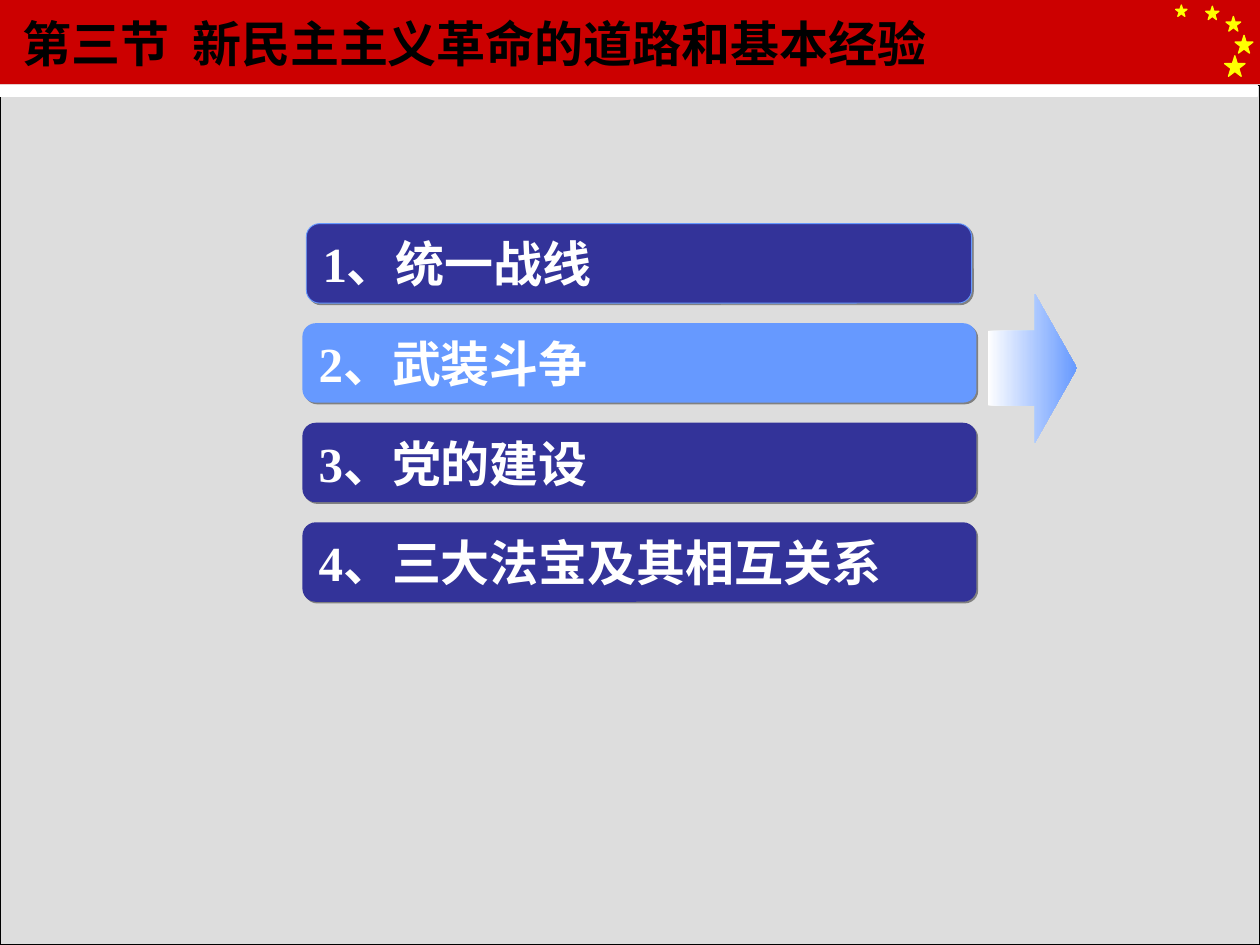
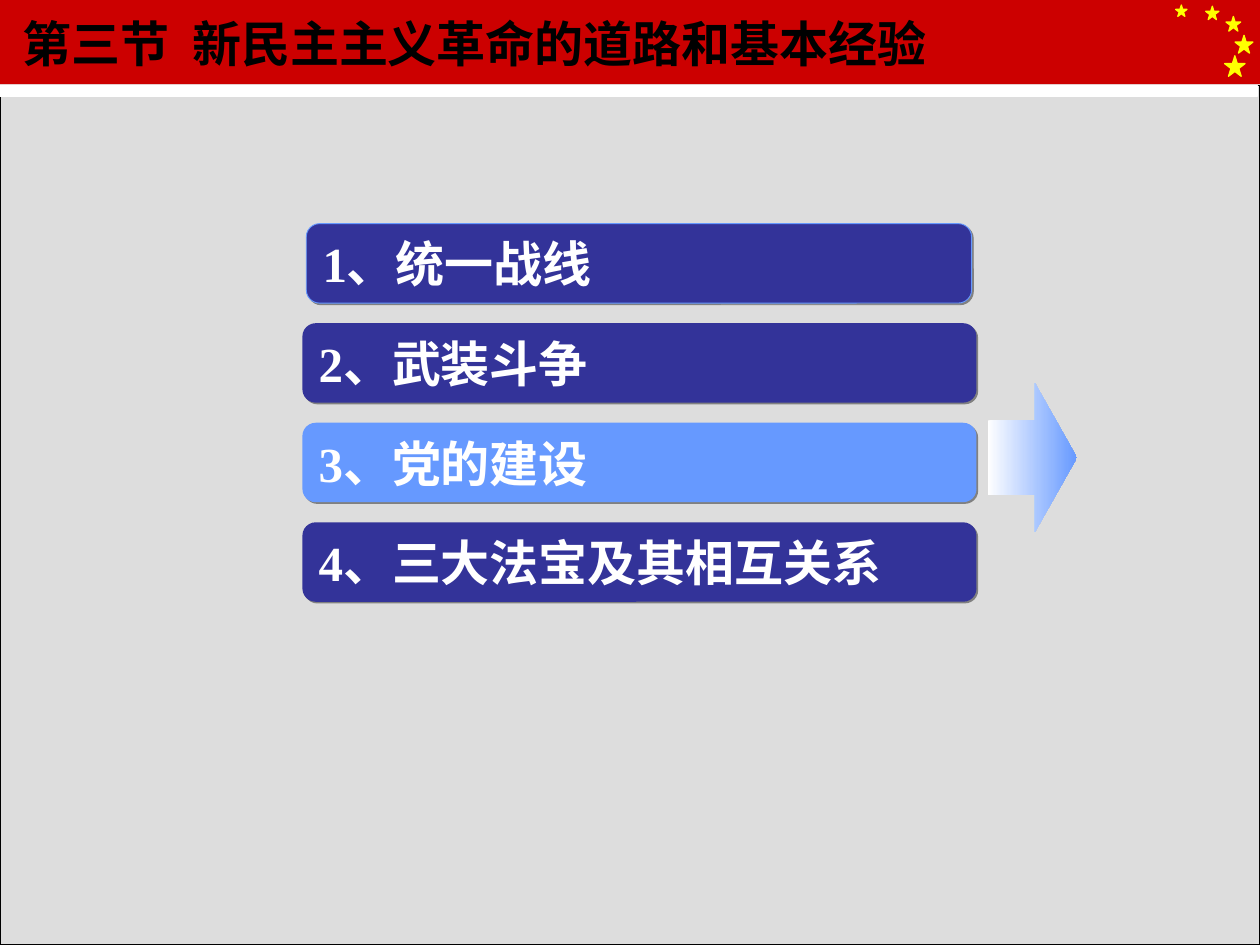
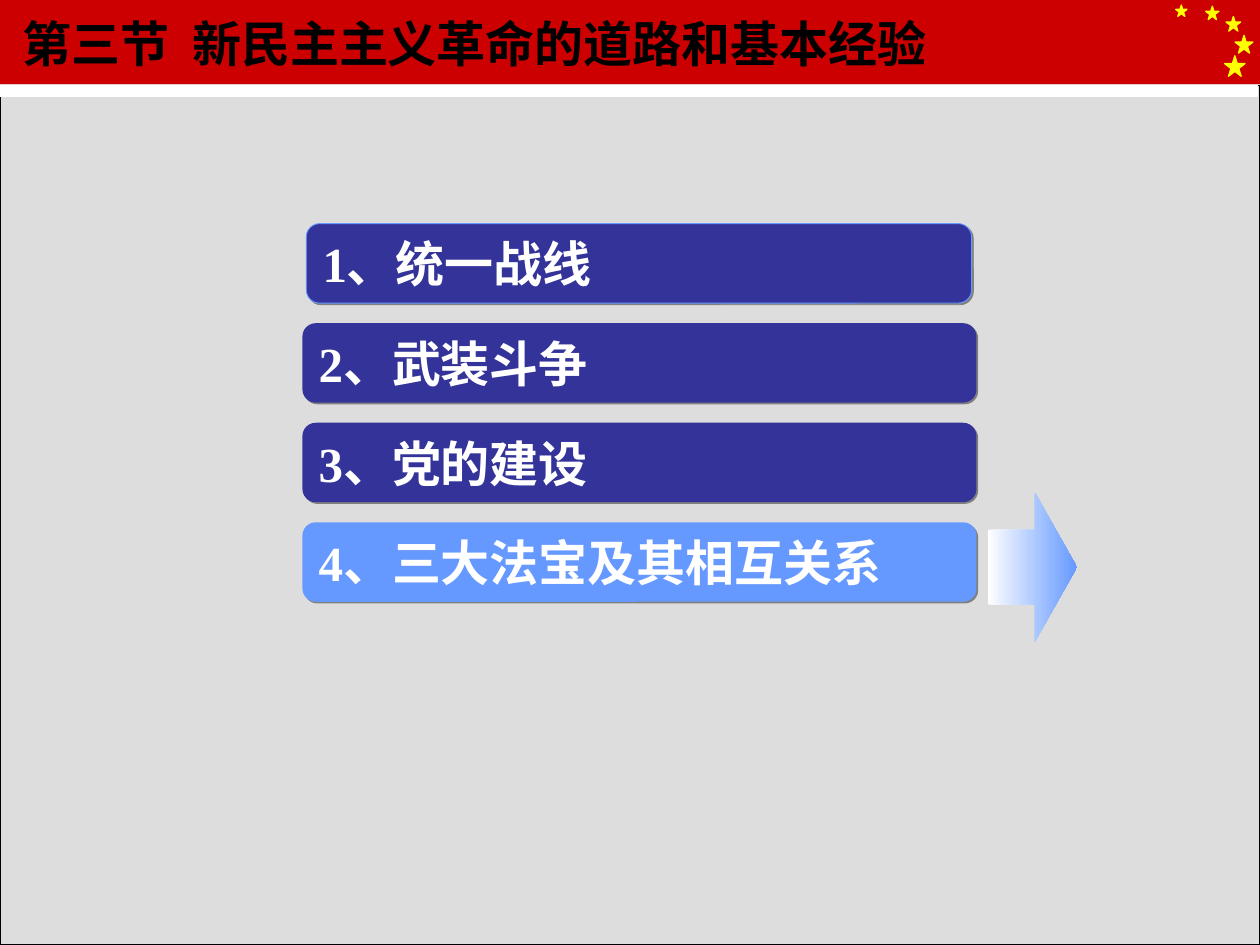
from lxml import etree
from pptx import Presentation
from pptx.dml.color import RGBColor
from pptx.enum.shapes import MSO_SHAPE
from pptx.enum.text import MSO_ANCHOR, PP_ALIGN
from pptx.oxml.ns import qn
from pptx.util import Pt

RECT = MSO_SHAPE.RECTANGLE
ROUND = MSO_SHAPE.ROUNDED_RECTANGLE
STAR = MSO_SHAPE.STAR_5_POINT
ARROW = MSO_SHAPE.RIGHT_ARROW
MIDDLE = MSO_ANCHOR.MIDDLE
LEFT = PP_ALIGN.LEFT

PAPER = RGBColor(0xEA, 0xEA, 0xEA)
PANEL = RGBColor(0xDD, 0xDD, 0xDD)
RED = RGBColor(0xCC, 0x00, 0x00)
YELLOW = RGBColor(0xFF, 0xFF, 0x00)
NAVY = RGBColor(0x33, 0x33, 0x99)
SKY = RGBColor(0x66, 0x99, 0xFF)
GREY = RGBColor(0x80, 0x80, 0x80)
BLACK = RGBColor(0x00, 0x00, 0x00)
WHITE = RGBColor(0xFF, 0xFF, 0xFF)

WIDTH, HEIGHT = 720, 540
TITLE = "第三节\t新民主主义革命的道路和基本经验"
TITLE_TAB = 97
TOPICS = ["1、统一战线", "2、武装斗争", "3、党的建设", "4、三大法宝及其相互关系"]
STARS = [
    (699.8, 31.9, 11.7),
    (689, 3.6, 7.6),
    (671.8, 2.9, 6.5),
    (700.6, 9.4, 8.4),
    (705.8, 20.2, 10.2),
]
BAR_TOP, BAR_STEP, BAR_HIGH = 127.8, 56.9, 45.4
ARROW_TOPS = {1: 167.8, 2: 218.9, 3: 281.5}


def write(shape, text, size=28, color=WHITE, font="Times New Roman", bold=True, tab=None):
    frame = shape.text_frame
    frame.word_wrap = True
    frame.vertical_anchor = MIDDLE
    para = frame.paragraphs[0]
    para.alignment = LEFT
    if tab:
        stops = etree.SubElement(para._p.get_or_add_pPr(), qn("a:tabLst"))
        etree.SubElement(stops, qn("a:tab"), pos=str(Pt(tab)), algn="l")
    run = para.add_run()
    run.text = text
    run.font.size = Pt(size)
    run.font.name = font
    run.font.bold = bold
    run.font.color.rgb = color


class Deck:
    def __init__(self):
        self.show = Presentation()
        self.show.slide_width = Pt(WIDTH)
        self.show.slide_height = Pt(HEIGHT)
        self.slide = None

    def shape(self, kind, left, top, wide, high, fill=None, line=None, weight=0.75):
        item = self.slide.shapes.add_shape(kind, Pt(left), Pt(top), Pt(wide), Pt(high))
        item.shadow.inherit = False
        if fill is not None:
            item.fill.solid()
            item.fill.fore_color.rgb = fill
        if line is None:
            item.line.fill.background()
        else:
            item.line.color.rgb = line
            item.line.width = Pt(weight)
        return item

    def page(self):
        self.slide = self.show.slides.add_slide(self.show.slide_layouts[6])
        back = self.slide.background.fill
        back.solid()
        back.fore_color.rgb = PAPER
        self.shape(RECT, 0, 0, WIDTH, 48.2, RED)
        for left, top, side in STARS:
            self.shape(STAR, left, top, side, side, YELLOW, YELLOW)
        self.shape(RECT, 0, 49, WIDTH, HEIGHT - 49, PANEL, BLACK)
        self.shape(RECT, 0, 49, 718.6, 5.8, WHITE, WHITE)

    def title(self, text):
        box = self.slide.shapes.add_textbox(Pt(5.8), Pt(0), Pt(563.8), Pt(49))
        write(box, text, color=BLACK, tab=TITLE_TAB)

    def shade(self, item):
        effects = item._element.spPr.find(qn("a:effectLst"))
        drop = etree.SubElement(
            effects, qn("a:outerShdw"), dist=str(Pt(1.4)), dir="2700000", algn="ctr", rotWithShape="0"
        )
        etree.SubElement(drop, qn("a:srgbClr"), val=str(GREY))

    def bar(self, row, text, lit):
        left, wide, line = (172.8, 385.2, None) if row else (175, 380.2, SKY)
        top = BAR_TOP + row * BAR_STEP
        item = self.shape(ROUND, left, top, wide, BAR_HIGH, SKY if lit else NAVY, line, 0.5)
        self.shade(item)
        write(item, text)

    def arrow(self, top):
        item = self.shape(ARROW, 564.3, top, 51.1, 85.2)
        item.adjustments[1] = 0.47
        item.fill.gradient()
        item.fill.gradient_angle = 0
        for stop, color in zip(item.fill.gradient_stops, (WHITE, SKY)):
            stop.color.rgb = color


def main():
    deck = Deck()
    for pick, top in ARROW_TOPS.items():
        deck.page()
        deck.title(TITLE)
        for row, topic in enumerate(TOPICS):
            deck.bar(row, topic, row == pick)
        deck.arrow(top)
    deck.show.save("out.pptx")


if __name__ == "__main__":
    main()
